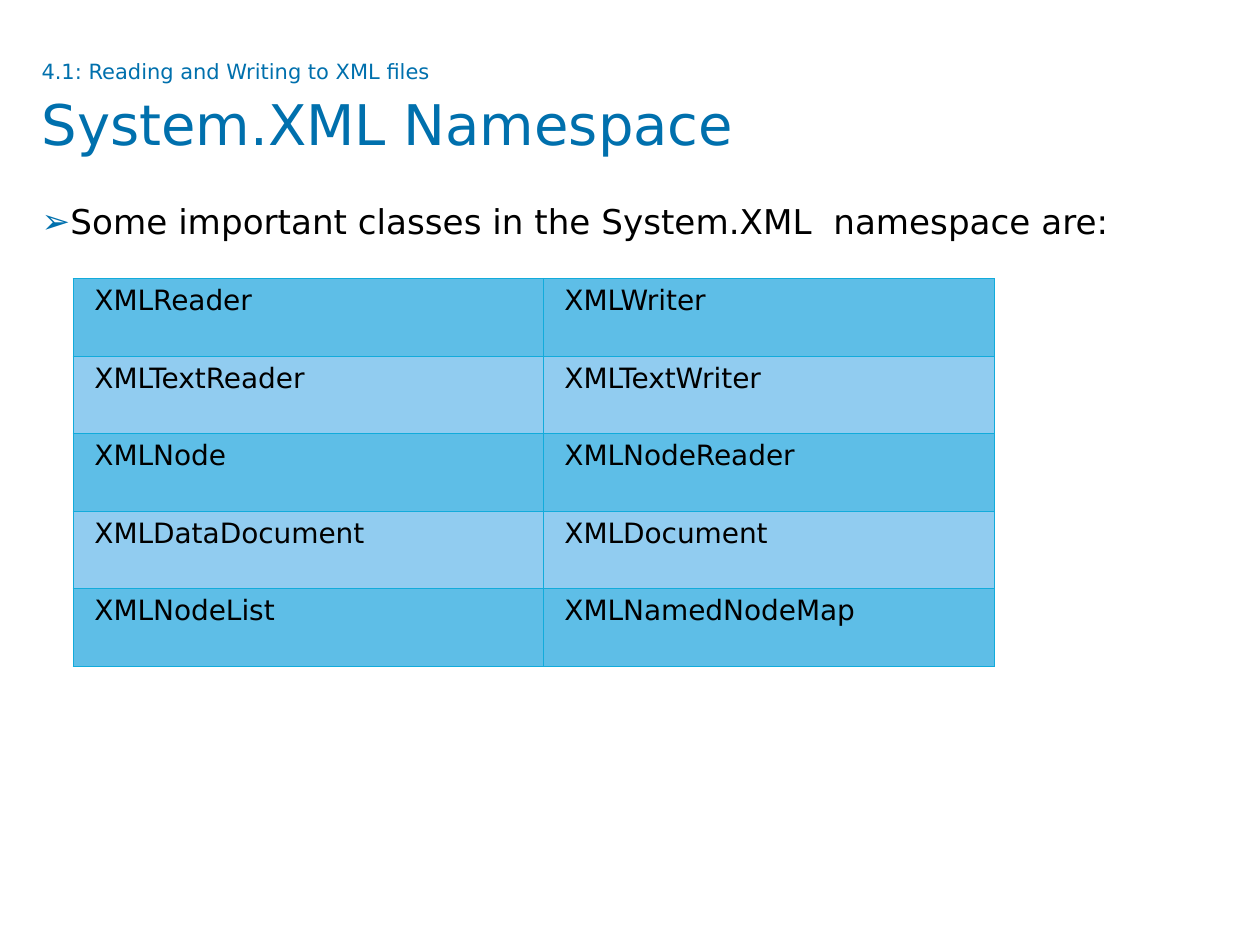
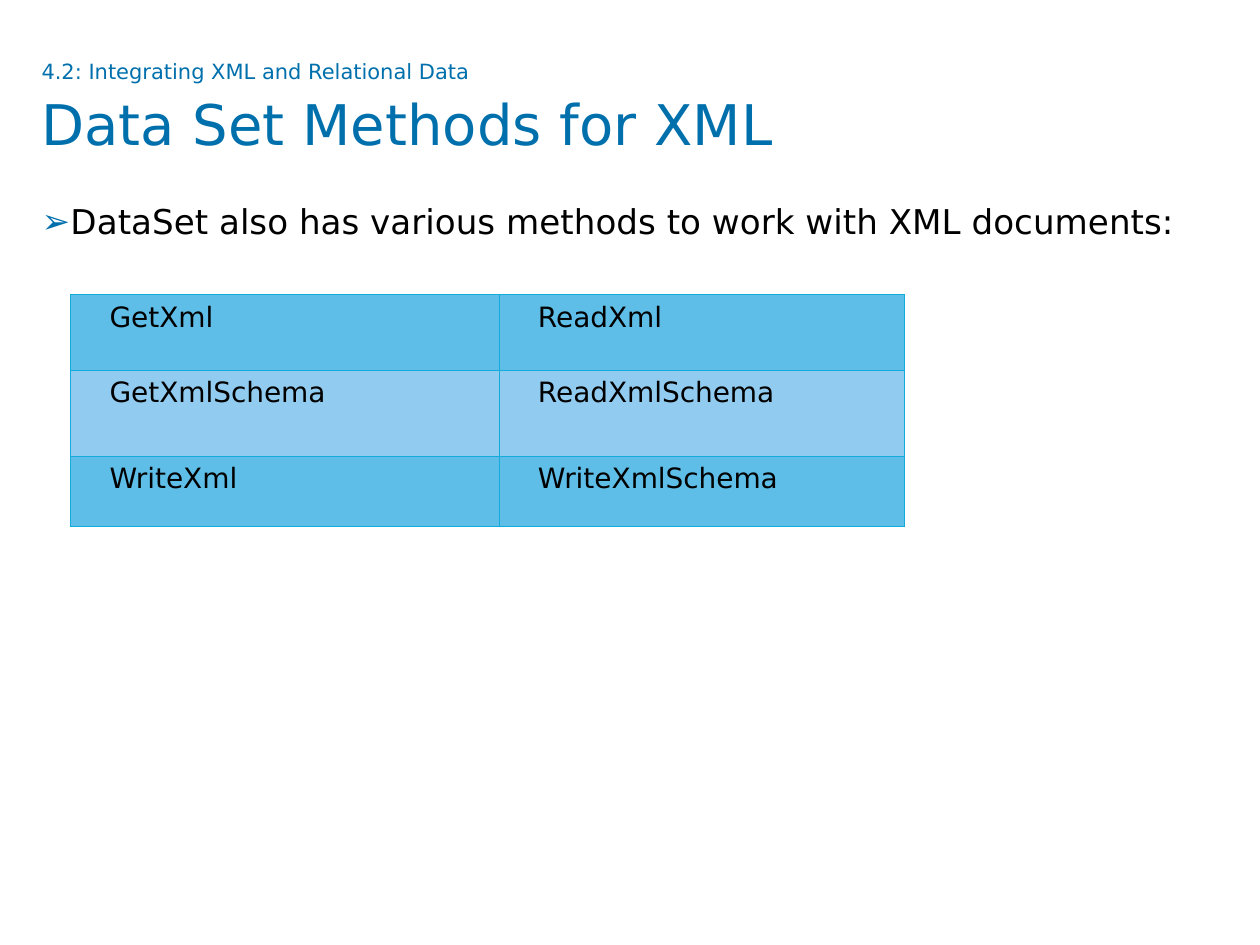
import lxml.etree
import pptx
import pptx.dml.color
import pptx.enum.text
import pptx.oxml
import pptx.oxml.ns
import pptx.util

Inches = pptx.util.Inches
Pt = pptx.util.Pt


def rgb(hex_color):
    """Turn a hex string into a colour."""
    return pptx.dml.color.RGBColor.from_string(hex_color)


def write(paragraph, text, size, color, font="DejaVu Sans"):
    """Add a formatted run to a paragraph."""
    run = paragraph.add_run()
    run.text = text
    run.font.name = font
    run.font.size = Pt(size)
    run.font.color.rgb = rgb(color)


class Lesson:
    """Holds the lesson style and the current slide."""

    HEADING = "0070AD"
    BODY = "000000"
    BORDER = "12ABDB"
    BANDS = ("5EBEE7", "91CCF0")
    LEFT, WIDTH = 0.33, 9.34

    def __init__(self):
        """Start a presentation of 10 by 7.5 inches."""
        self.deck = pptx.Presentation()
        self.deck.slide_width = Inches(10)
        self.deck.slide_height = Inches(7.5)
        self.slide = None

    def new_slide(self):
        """Add a blank slide and make it current."""
        self.slide = self.deck.slides.add_slide(self.deck.slide_layouts[6])

    def text_box(self, top, height):
        """Add a full-width box without margins and return its paragraph."""
        box = self.slide.shapes.add_textbox(
            Inches(self.LEFT), Inches(top), Inches(self.WIDTH), Inches(height))
        frame = box.text_frame
        frame.word_wrap = True
        frame.margin_left = frame.margin_right = 0
        frame.margin_top = frame.margin_bottom = 0
        return frame.paragraphs[0]

    def title(self, section, topic):
        """Add the section line with the topic below it."""
        heading = self.text_box(0.45, 0.94)
        heading.line_spacing = 1.08
        write(heading, section, size=12, color=self.HEADING)
        heading.add_line_break()
        write(heading, topic, size=32, color=self.HEADING)

    def bullet(self, text):
        """Add the arrow-bulleted statement."""
        statement = self.text_box(1.63, 5.08)
        statement.alignment = pptx.enum.text.PP_ALIGN.JUSTIFY
        statement.line_spacing = 0.9
        statement.space_before = Pt(7.5)
        write(statement, text, size=19.5, color=self.BODY)
        properties = statement._p.get_or_add_pPr()
        properties.set("marL", str(Inches(0.23)))
        properties.set("indent", str(Inches(-0.23)))
        qn = pptx.oxml.ns.qn
        bullet_color = lxml.etree.SubElement(properties, qn("a:buClr"))
        lxml.etree.SubElement(bullet_color, qn("a:srgbClr"), val=self.HEADING)
        lxml.etree.SubElement(properties, qn("a:buFont"), typeface="DejaVu Sans")
        lxml.etree.SubElement(properties, qn("a:buChar"), char="➢")

    def borders(self, cell):
        """Draw a thin line on each side of a cell."""
        for side in "LRTB":
            cell._tc.get_or_add_tcPr().append(pptx.oxml.parse_xml(
                f'<a:ln{side} {pptx.oxml.ns.nsdecls("a")} w="{Pt(0.5)}"><a:solidFill>'
                f'<a:srgbClr val="{self.BORDER}"/></a:solidFill></a:ln{side}>'))

    def table(self, names, left, top, widths, heights, inset):
        """Add a table of names with alternating row bands."""
        grid = self.slide.shapes.add_table(
            len(names), len(widths), Inches(left), Inches(top),
            Inches(sum(widths)), Inches(sum(heights))).table
        grid.first_row = grid.horz_banding = False
        for column, width in zip(grid.columns, widths):
            column.width = Inches(width)
        for index, (row, height, row_names) in enumerate(zip(grid.rows, heights, names)):
            row.height = Inches(height)
            for cell, name in zip(row.cells, row_names):
                self.borders(cell)
                cell.fill.solid()
                cell.fill.fore_color.rgb = rgb(self.BANDS[index % 2])
                cell.margin_left = cell.margin_right = Inches(inset)
                cell.margin_top = cell.margin_bottom = Inches(0.05)
                write(cell.text_frame.paragraphs[0], name, size=16, color=self.BODY)


def main():
    """Build both slides and save them."""
    lesson = Lesson()

    lesson.new_slide()
    lesson.title("4.1: Reading and Writing to XML files", "System.XML Namespace")
    lesson.bullet("Some important classes in the System.XML  namespace are:")
    xml_classes = [
        ("XMLReader", "XMLWriter"),
        ("XMLTextReader", "XMLTextWriter"),
        ("XMLNode", "XMLNodeReader"),
        ("XMLDataDocument", "XMLDocument"),
        ("XMLNodeList", "XMLNamedNodeMap"),
    ]
    lesson.table(xml_classes, left=0.58, top=2.21, widths=[3.73, 3.58],
                 heights=[3.08 / len(xml_classes)] * len(xml_classes), inset=0.17)

    lesson.new_slide()
    lesson.title("4.2: Integrating XML and Relational Data", "Data Set Methods for XML")
    lesson.bullet("DataSet also has various methods to work with XML documents:")
    dataset_methods = [
        ("GetXml", "ReadXml"),
        ("GetXmlSchema", "ReadXmlSchema"),
        ("WriteXml", "WriteXmlSchema"),
    ]
    lesson.table(dataset_methods, left=0.56, top=2.34, widths=[3.4, 3.22],
                 heights=[0.6, 0.68, 0.56], inset=0.31)

    lesson.deck.save("out.pptx")


if __name__ == "__main__":
    main()
